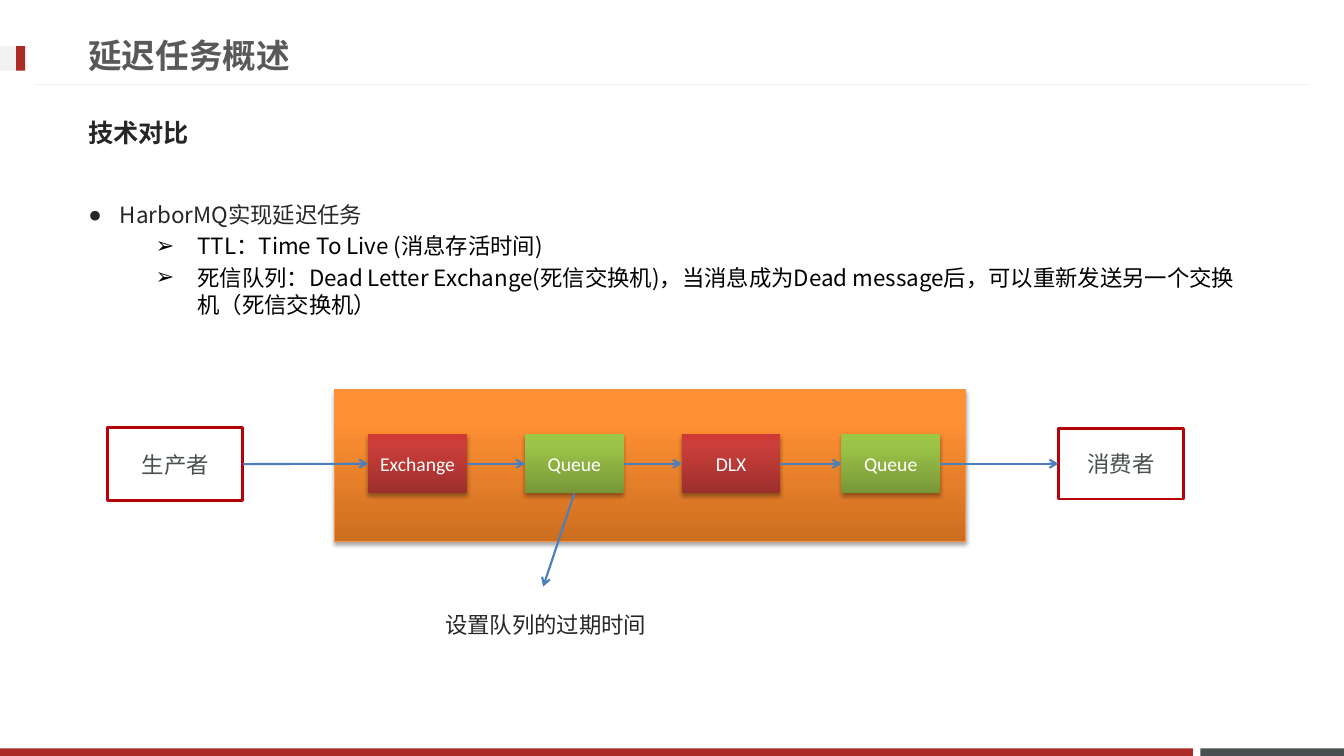
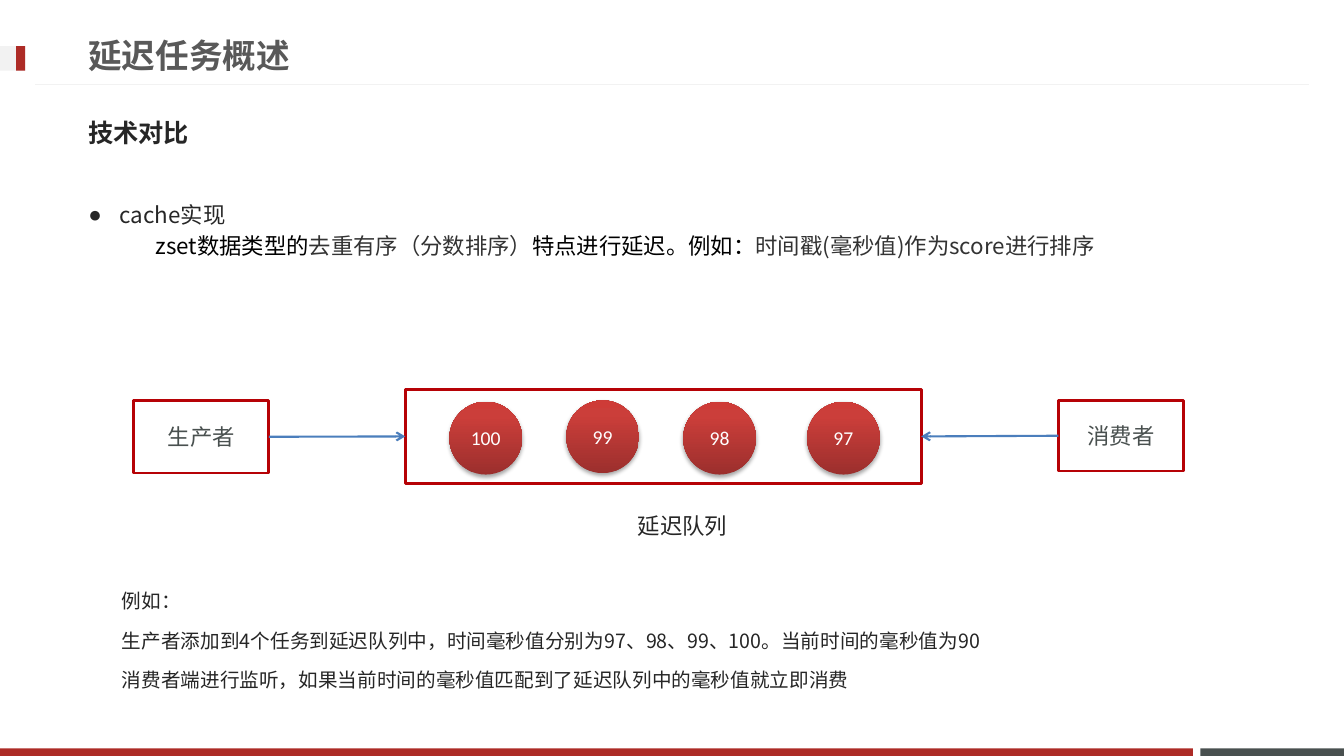
import dataclasses

import pptx
import pptx.dml.color
import pptx.enum.shapes
import pptx.enum.text
import pptx.oxml.ns
import pptx.oxml.xmlchemy
import pptx.util

Pt = pptx.util.Pt
SHAPE = pptx.enum.shapes.MSO_SHAPE
ANCHOR = pptx.enum.text.MSO_ANCHOR
ALIGN = pptx.enum.text.PP_ALIGN
TOP, LEFT, BOTTOM, RIGHT = range(4)  # connection sites of a rectangle


@dataclasses.dataclass(frozen=True)
class Theme:
    # Colours
    red: str = "AD2B26"
    slate: str = "49504F"
    pale: str = "F2F2F2"
    title: str = "595959"
    ink: str = "262626"
    black: str = "000000"
    emphasis: str = "333333"
    white: str = "FFFFFF"
    outline: str = "B60206"
    arrow: str = "4B7EBC"
    orange_line: str = "F69240"
    # Gradients, from bottom to top
    orange: tuple = ("CC6E20", "FF9034", "FF9136")
    crimson: tuple = ("9C2F2D", "CB3E3A", "CE3B37")
    green: tuple = ("779737", "9BC348", "9DC746")
    stops: tuple = (0, 80, 100)
    # Type
    title_font: str = "Arial"
    body_font: str = "Noto Sans CJK JP"
    detail_font: str = "Noto Sans CJK SC"
    shape_font: str = "Calibri"
    title_size: int = 24
    heading_size: int = 18
    body_size: int = 16
    small_size: int = 14


def add_child(parent, tag, **attributes):
    child = pptx.oxml.xmlchemy.OxmlElement(tag)
    for name, value in attributes.items():
        child.set(name, str(value))
    parent.append(child)
    return child


def rgb(colour):
    return pptx.dml.color.RGBColor.from_string(colour)


class Deck:
    def __init__(self, theme):
        self.theme = theme
        self.presentation = pptx.Presentation()
        self.presentation.slide_width = Pt(960)
        self.presentation.slide_height = Pt(540)
        self.slide = None

    # Frame shared by all slides
    def new_slide(self, title, heading):
        theme = self.theme
        self.slide = self.presentation.slides.add_slide(self.presentation.slide_layouts[6])
        self.shape((857.5, 534.5, 102.5, 5.5), fill=theme.slate)
        self.shape((0, 534.5, 852, 5.5), fill=theme.red)
        self.line((935, 60.5), (25, 60.5), theme.pale, 0.75)
        self.shape((0, 33, 18, 17.5), fill=theme.pale)
        self.shape((11.5, 33, 6.5, 17.5), fill=theme.red)
        for text, box, font, size, colour in (
            (title, (56, 19, 690.5, 41), theme.title_font, theme.title_size, theme.title),
            (heading, (56, 74, 842.5, 41), theme.body_font, theme.heading_size, theme.ink),
        ):
            frame = self.text_box(box, ANCHOR.MIDDLE)
            self.run(frame.paragraphs[0], text, font, size, colour, bold=True)

    # Text
    def text_box(self, box, anchor=ANCHOR.TOP):
        frame = self.slide.shapes.add_textbox(*map(Pt, box)).text_frame
        frame.word_wrap = True
        frame.vertical_anchor = anchor
        return frame

    def run(self, paragraph, text, font, size, colour, bold=False):
        run = paragraph.add_run()
        run.text = text
        run.font.name = font
        run.font.size = Pt(size)
        run.font.bold = bold
        run.font.color.rgb = rgb(colour)
        if font != self.theme.shape_font:
            add_child(run.font._element, "a:ea", typeface=font)

    def paragraph(self, frame, runs, size, font, spacing=1.0, level=0,
                  margin=0, hanging=0, bullet=None):
        """Fill the first paragraph, or add one; runs are (text, colour) pairs."""
        paragraph = frame.paragraphs[0]
        if paragraph.runs:
            paragraph = frame.add_paragraph()
        paragraph.level = level
        paragraph.line_spacing = spacing
        paragraph.space_before = Pt(size * 0.2)
        properties = paragraph._p.get_or_add_pPr()
        properties.set("marL", str(Pt(margin)))
        properties.set("indent", str(-Pt(hanging)))
        if bullet:
            add_child(properties, "a:buFont", typeface=self.theme.title_font)
            add_child(properties, "a:buChar", char=bullet)
        for text, colour in runs:
            self.run(paragraph, text, font, size, colour)

    def topic(self, text, details, margin, hanging=0, bullet=None):
        """A bulleted topic with its details on the second level."""
        theme = self.theme
        frame = self.text_box((56, 130.5, 842.5, 131))
        self.paragraph(frame, [(text, theme.ink)], theme.body_size, theme.body_font,
                       1.5, margin=22.5, hanging=22.5, bullet="●")
        for runs in details:
            self.paragraph(frame, runs, theme.body_size, theme.detail_font, level=1,
                           margin=margin, hanging=hanging, bullet=bullet)

    def note(self, box, lines, size):
        frame = self.text_box(box)
        for line in lines:
            self.paragraph(frame, [(line, self.theme.ink)], size, self.theme.body_font, 1.5)

    # Shapes
    def shape(self, box, kind=SHAPE.RECTANGLE, fill=None, line=None, width=0.75):
        shape = self.slide.shapes.add_shape(kind, *map(Pt, box))
        shape.shadow.inherit = False
        if fill:
            shape.fill.solid()
            shape.fill.fore_color.rgb = rgb(fill)
        else:
            shape.fill.background()
        if line:
            shape.line.color.rgb = rgb(line)
            shape.line.width = Pt(width)
        else:
            shape.line.fill.background()
        return shape

    def label(self, shape, text, size, colour):
        frame = shape.text_frame
        frame.margin_left = frame.margin_right = 0
        frame.vertical_anchor = ANCHOR.MIDDLE
        frame.paragraphs[0].alignment = ALIGN.CENTER
        self.run(frame.paragraphs[0], text, self.theme.shape_font, size, colour)

    def outlined(self, box, text=None):
        shape = self.shape(box, line=self.theme.outline, width=2)
        if text:
            self.label(shape, text, self.theme.body_size, self.theme.slate)
        return shape

    def glossy(self, box, colours, text=None, kind=SHAPE.RECTANGLE, line=None):
        """A shape with a vertical gradient and a soft shadow below."""
        shape = self.shape(box, kind, line=line)
        properties = shape._element.spPr
        gradient = pptx.oxml.xmlchemy.OxmlElement("a:gradFill")
        stops = add_child(gradient, "a:gsLst")
        for position, colour in zip(self.theme.stops, colours):
            stop = add_child(stops, "a:gs", pos=position * 1000)
            add_child(stop, "a:srgbClr", val=colour)
        add_child(gradient, "a:lin", ang=270 * 60000, scaled=0)
        properties.replace(properties.find(pptx.oxml.ns.qn("a:noFill")), gradient)
        effects = properties.find(pptx.oxml.ns.qn("a:effectLst"))
        shadow = add_child(effects, "a:outerShdw", blurRad=Pt(3.1), dist=Pt(1.8),
                           dir=90 * 60000, rotWithShape=0)
        add_child(add_child(shadow, "a:srgbClr", val=self.theme.black),
                  "a:alpha", val=35000)
        if text:
            self.label(shape, text, self.theme.small_size, self.theme.white)
        return shape

    # Lines and arrows
    def line(self, start, end, colour, width):
        connector = self.slide.shapes.add_connector(
            pptx.enum.shapes.MSO_CONNECTOR.STRAIGHT, *map(Pt, (*start, *end)))
        connector.line.color.rgb = rgb(colour)
        connector.line.width = Pt(width)
        add_child(connector._element.spPr, "a:effectLst")
        return connector

    def arrow(self, source, site, target=None, target_site=LEFT, end=(0, 0)):
        """Join two shapes, or lead from a shape to a free end point."""
        connector = self.line((0, 0), end, self.theme.arrow, 1.5)
        connector.begin_connect(source, site)
        if target is not None:
            connector.end_connect(target, target_site)
        add_child(connector.line._get_or_add_ln(), "a:tailEnd", type="arrow")


def message_queue_slide(deck):
    theme = deck.theme
    deck.new_slide("延迟任务概述", "技术对比")
    deck.topic("HarborMQ实现延迟任务", [
        [("TTL：Time To Live (消息存活时间)", theme.black)],
        [("死信队列：Dead Letter Exchange(死信交换机)，当消息成为Dead message后，"
          "可以重新发送另一个交换机（死信交换机）", theme.black)],
    ], margin=78, hanging=30, bullet="➢")

    # Message flow
    producer = deck.outlined((77, 305.5, 96.5, 52), "生产者")
    consumer = deck.outlined((756, 306, 89.5, 50.5), "消费者")
    deck.glossy((239, 278.5, 451, 108), theme.orange, line=theme.orange_line)
    stages = [
        deck.glossy((left, 310, 70.5, 42.5), colours, text)
        for left, colours, text in (
            (263, theme.crimson, "Exchange"), (375, theme.green, "Queue"),
            (487, theme.crimson, "DLX"), (601, theme.green, "Queue"))
    ]
    flow = [producer, *stages, consumer]
    for source, target in zip(flow, flow[1:]):
        deck.arrow(source, RIGHT, target)

    # Expiry note
    deck.arrow(stages[1], BOTTOM, end=(388, 419))
    deck.note((311, 423.5, 198.5, 52.5), ["设置队列的过期时间"], theme.body_size)


def sorted_set_slide(deck):
    theme = deck.theme
    deck.new_slide("延迟任务概述", "技术对比")
    deck.topic("cache实现", [[
        ("zset数据类型的", theme.black),
        ("去重有序（分数排序）", theme.emphasis),
        ("特点进行延迟。例如：", theme.black),
        ("时间戳(毫秒值)作为score进行排序", theme.emphasis),
    ]], margin=48)

    # Delay queue with its scores
    queue = deck.outlined((289.5, 278, 368.5, 67.5))
    producer = deck.outlined((95.5, 286, 96.5, 52), "生产者")
    consumer = deck.outlined((756, 286, 89.5, 50.5), "消费者")
    deck.note((448.5, 353, 94.5, 43), ["延迟队列"], theme.body_size)
    for left, top, score in ((321, 287, "100"), (404.5, 286, "99"),
                             (488, 287, "98"), (576.5, 287, "97")):
        deck.glossy((left, top, 52, 52), theme.crimson, score, SHAPE.OVAL)
    deck.arrow(producer, RIGHT, queue)
    deck.arrow(consumer, LEFT, queue, RIGHT)

    # Worked example
    deck.note((80, 409, 807, 103.5), [
        "例如：",
        "生产者添加到4个任务到延迟队列中，时间毫秒值分别为97、98、99、100。当前时间的毫秒值为90",
        "消费者端进行监听，如果当前时间的毫秒值匹配到了延迟队列中的毫秒值就立即消费",
    ], theme.small_size)


def main():
    deck = Deck(Theme())
    message_queue_slide(deck)
    sorted_set_slide(deck)
    deck.presentation.save("out.pptx")


if __name__ == "__main__":
    main()
